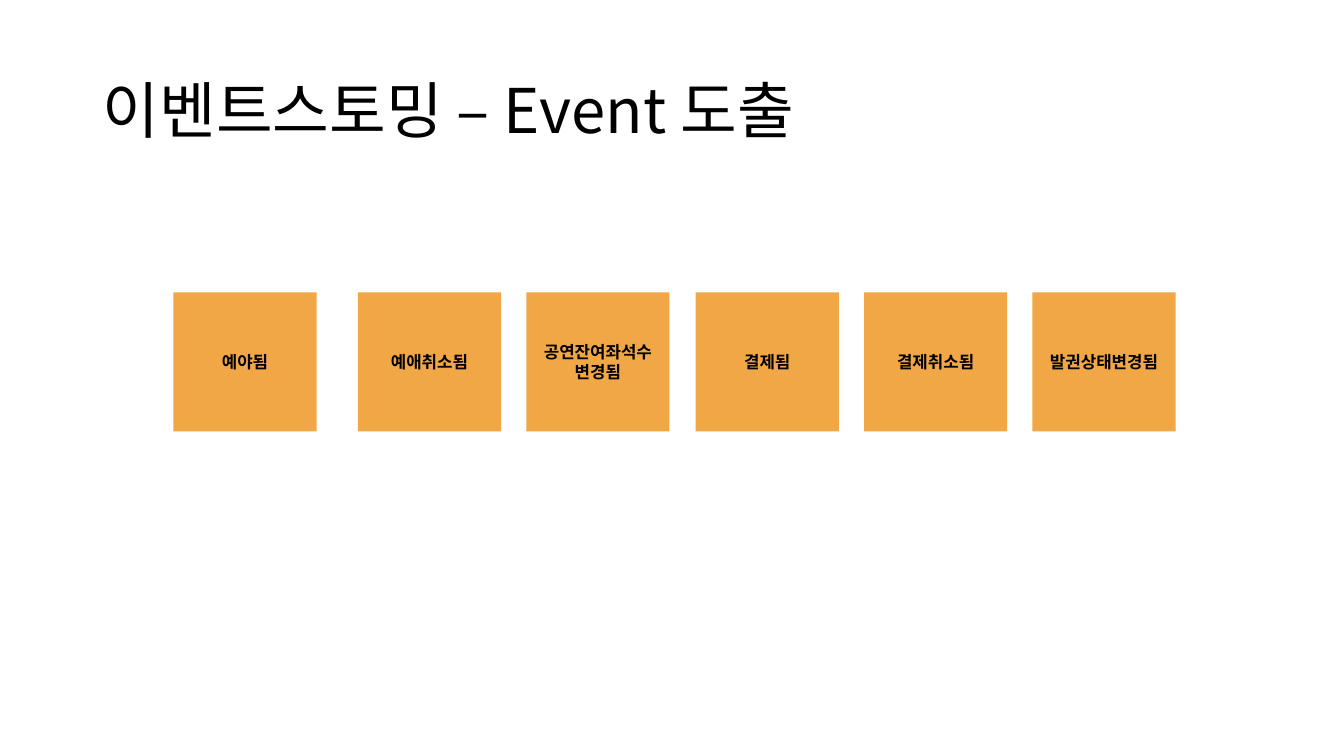
import pptx
import pptx.dml.color
import pptx.enum.shapes
import pptx.enum.text
import pptx.oxml.ns
import pptx.util
from lxml import etree

PX = 9144  # EMU per px, 100 px to the inch
COLORS = {"background": "FFFFFF", "event": "F1A746", "text": "000000"}
FONT = "Noto Sans CJK KR"


def color(name):
    return pptx.dml.color.RGBColor.from_string(COLORS[name])


class EventBoard:
    """Holds the style and the current slide."""

    def __init__(self, presentation):
        self.slide = presentation.slides.add_slide(presentation.slide_layouts[5])
        self.slide.background.fill.solid()
        self.slide.background.fill.fore_color.rgb = color("background")

    def add_text(self, shape, text, size, bold, alignment):
        frame = shape.text_frame
        frame.word_wrap = True
        frame.auto_size = pptx.enum.text.MSO_AUTO_SIZE.NONE
        frame.vertical_anchor = pptx.enum.text.MSO_ANCHOR.MIDDLE
        paragraph = frame.paragraphs[0]
        paragraph.alignment = alignment
        run = paragraph.add_run()
        run.text = text
        run.font.name = FONT
        run.font.size = pptx.util.Pt(size)
        run.font.bold = bold
        run.font.color.rgb = color("text")
        # Hangul takes its typeface from the East Asian font
        properties = run._r.get_or_add_rPr()
        east_asian = etree.SubElement(properties, pptx.oxml.ns.qn("a:ea"))
        east_asian.set("typeface", FONT)
        return paragraph

    def title(self, text, left, top, width, height):
        shape = self.slide.shapes.title
        shape.left, shape.top = left * PX, top * PX
        shape.width, shape.height = width * PX, height * PX
        paragraph = self.add_text(shape, text, 44, False, pptx.enum.text.PP_ALIGN.LEFT)
        paragraph.line_spacing = 0.9

    def event(self, text, left, top, width, height):
        shape = self.slide.shapes.add_shape(
            pptx.enum.shapes.MSO_SHAPE.RECTANGLE,
            left * PX, top * PX, width * PX, height * PX)
        shape.shadow.inherit = False
        shape.fill.solid()
        shape.fill.fore_color.rgb = color("event")
        shape.line.fill.background()
        self.add_text(shape, text, 12, True, pptx.enum.text.PP_ALIGN.CENTER)


def main():
    presentation = pptx.Presentation()
    presentation.slide_width = 1333 * PX
    presentation.slide_height = 750 * PX
    board = EventBoard(presentation)

    # Title
    board.title("이벤트스토밍 – Event 도출", 92, 40, 1150, 145)

    # Events: the first stands apart, the rest are evenly spaced
    board.event("예야됨", 172, 290, 142, 138)
    following = ["예애취소됨", "공연잔여좌석수 변경됨", "결제됨", "결제취소됨", "발권상태변경됨"]
    for index, text in enumerate(following):
        board.event(text, round(355 + 167.25 * index), 290, 142, 138)

    presentation.save("out.pptx")


if __name__ == "__main__":
    main()
